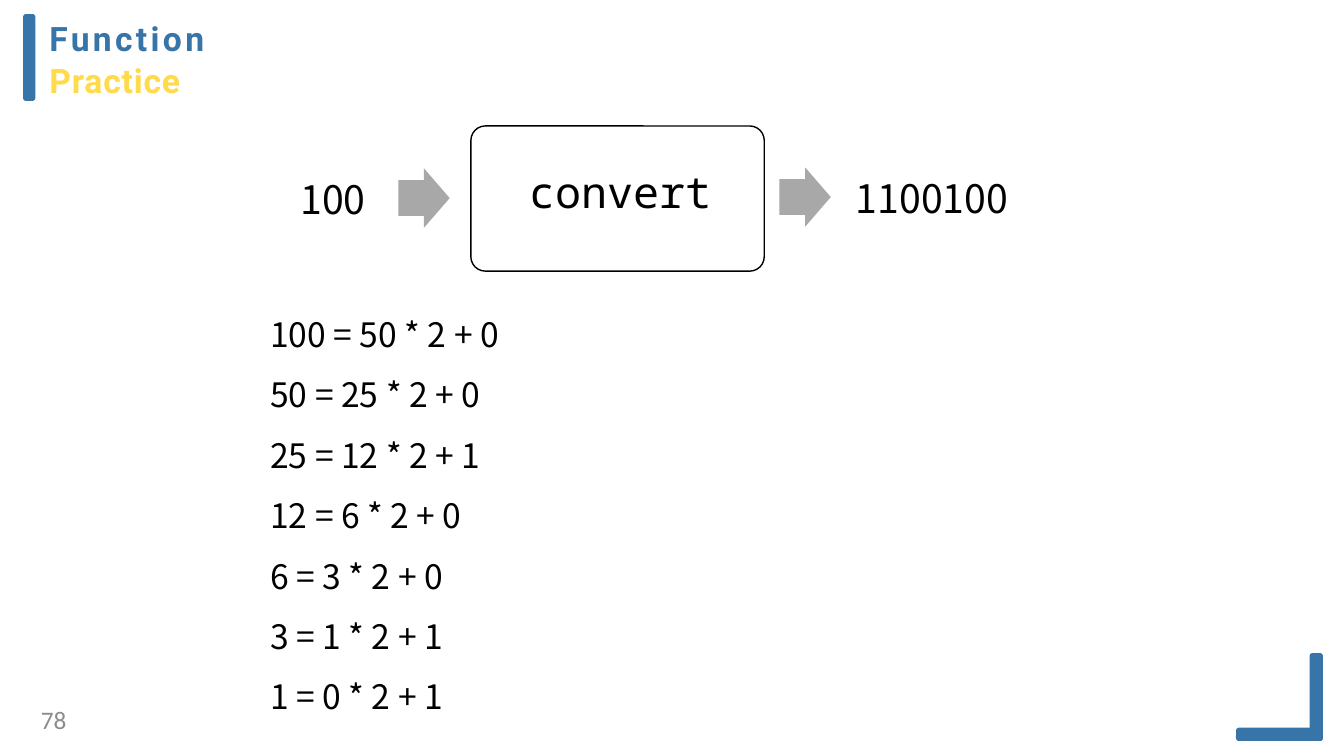
from lxml.etree import SubElement
from pptx import Presentation
from pptx.dml.color import RGBColor
from pptx.enum.shapes import MSO_SHAPE
from pptx.enum.text import MSO_ANCHOR, MSO_AUTO_SIZE, PP_ALIGN
from pptx.oxml.ns import qn
from pptx.util import Inches, Pt


def add_block(kind, box, fill, line=None, width=1, rounding=None):
    shape = slide.shapes.add_shape(kind, *map(Inches, box))
    shape.shadow.inherit = False
    shape.fill.solid()
    shape.fill.fore_color.rgb = RGBColor.from_string(fill)
    if line:
        shape.line.color.rgb = RGBColor.from_string(line)
        shape.line.width = Pt(width)
    else:
        shape.line.fill.background()
    if rounding is not None:
        shape.adjustments[0] = rounding


def write_text(shape, box, lines, font, size, colors, insets, align=PP_ALIGN.LEFT,
               anchor=MSO_ANCHOR.TOP, spacing=1.0):
    shape.left, shape.top, shape.width, shape.height = map(Inches, box)
    frame = shape.text_frame
    frame.word_wrap = True
    frame.auto_size = MSO_AUTO_SIZE.NONE
    frame.vertical_anchor = anchor
    frame.margin_left, frame.margin_top, frame.margin_right, frame.margin_bottom = map(Inches, insets)
    frame.text = "\n".join(lines)
    for index, paragraph in enumerate(frame.paragraphs):
        paragraph.alignment = align
        paragraph.line_spacing = spacing
        paragraph.space_before = Pt(0)
        paragraph.font.name = font
        paragraph.font.size = Pt(size)
        paragraph.font.color.rgb = RGBColor.from_string(colors[index % len(colors)])


presentation = Presentation()
presentation.slide_width = Inches(13.33)
presentation.slide_height = Inches(7.5)
slide = presentation.slides.add_slide(presentation.slide_layouts[1])
title, body = slide.placeholders

write_text(title, (0.48, 0.16, 4.52, 0.84), ["Function", "Practice"], "Roboto", 24,
           ["3774A7", "FFDA4A"], (0.01, 0.02, 0, 0))
for paragraph, tracking in zip(title.text_frame.paragraphs, (240, 60)):
    paragraph.font.bold = True
    paragraph.runs[0].font._element.set("spc", str(tracking))
title.text_frame.paragraphs[1].space_before = Pt(1)

for bar in ((0.25, 0.16, 0.08, 0.82), (13.01, 6.5, 0.09, 0.83), (12.28, 7.24, 0.82, 0.09)):
    add_block(MSO_SHAPE.ROUNDED_RECTANGLE, bar, "3775A9", "3774A7", 3, 0.1)

quotients = [100]
while quotients[-1]:
    quotients.append(quotients[-1] // 2)
divisions = [f"{number} = {half} * 2 + {number % 2}" for number, half in zip(quotients, quotients[1:])]
default_insets = (0.1, 0.05, 0.1, 0.05)
write_text(body, (2.58, 2.86, 8.17, 4.64), divisions, "Noto Sans CJK TC", 24,
           ["000000"], default_insets, spacing=1.5)
for paragraph in body.text_frame.paragraphs:
    properties = paragraph._p.get_or_add_pPr()
    properties.set("marL", "0")
    properties.set("indent", "0")
    bullet = SubElement(properties, qn("a:buNone"))
    properties.find(qn("a:defRPr")).addprevious(bullet)

for left, top in ((3.95, 1.67), (7.73, 1.66)):
    add_block(MSO_SHAPE.RIGHT_ARROW, (left, top, 0.51, 0.59), "A8A8A8", rounding=0.6)
add_block(MSO_SHAPE.ROUNDED_RECTANGLE, (4.67, 1.25, 2.91, 1.44), "FFFFFF", "000000", 1, 0.1)

labels = [
    ("convert", (4.56, 1.25, 3.18, 1.35), "Noto Sans Mono", 31, "000000", (0.13,) * 4,
     PP_ALIGN.CENTER, MSO_ANCHOR.MIDDLE, 0.9),
    ("100", (2.88, 1.69, 0.92, 0.57), "Noto Sans CJK SC", 28, "000000", default_insets),
    ("1100100", (8.39, 1.68, 2.06, 0.57), "Noto Sans CJK TC", 28, "000000", default_insets),
    ("78", (0.08, 6.99, 0.58, 0.3), "Calibri", 18, "8C8C8C", (0,) * 4, PP_ALIGN.RIGHT),
]
for text, box, font, size, color, *layout in labels:
    label = slide.shapes.add_textbox(*map(Inches, box))
    write_text(label, box, [text], font, size, [color], *layout)

presentation.save("out.pptx")
